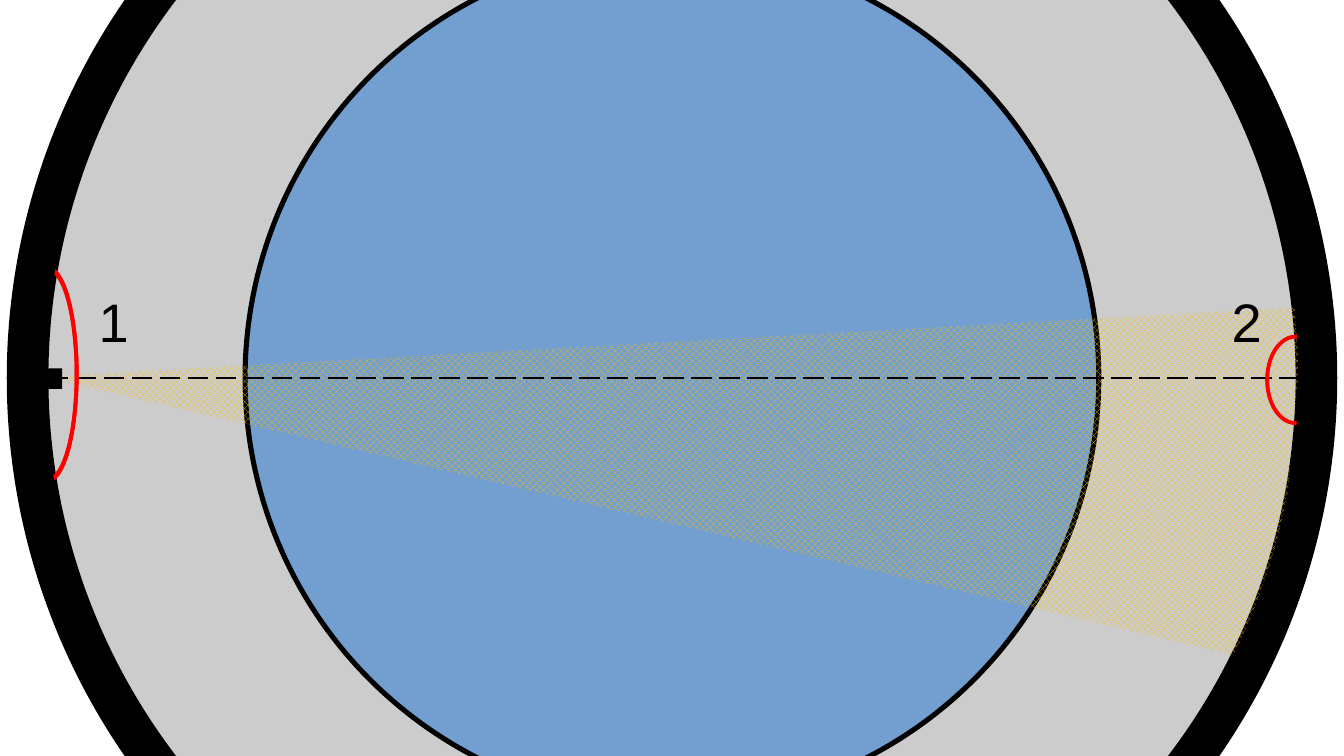
from pptx import Presentation
from pptx.dml.color import RGBColor
from pptx.enum.dml import MSO_LINE, MSO_PATTERN
from pptx.enum.shapes import MSO_CONNECTOR, MSO_SHAPE
from pptx.enum.text import MSO_AUTO_SIZE
from pptx.oxml.ns import qn
from pptx.util import Pt
from lxml import etree

ELLIPSE = MSO_SHAPE.OVAL
TRIANGLE = MSO_SHAPE.ISOSCELES_TRIANGLE
RECTANGLE = MSO_SHAPE.RECTANGLE
STRAIGHT = MSO_CONNECTOR.STRAIGHT
HATCH = MSO_PATTERN.OUTLINED_DIAMOND
LONG_DASH = MSO_LINE.LONG_DASH
FIT_TEXT = MSO_AUTO_SIZE.SHAPE_TO_FIT_TEXT
BLANK_LAYOUT = 6

COLORS = {"black": "000000", "white": "FFFFFF", "gray": "CCCCCC",
          "blue": "729FCF", "amber": "FFBF00", "red": "FF0000"}
SLIDE_SIZE = (793.44, 446.4)
CENTER = (396.72, 223.2)

# center, size, fill, line color, line width
DISCS = [
    (CENTER, (742.3, 742.3), "gray", "black", 6),
    (CENTER, (504, 504), "blue", "black", 3),
]
BEAM = ((393.1, 254.5), (211.7, 738))
BEAM_ROTATION = 275
AXIS = (28.1, 765.4)
ARCS_AND_RING = [
    ((28.4, 220.7), (33.8, 124.6), None, "red", 2.3),
    ((765, 224.3), (33.8, 51.1), None, "red", 2.3),
    ((28.4, 221.4), (33.8, 124.6), None, "red", 2.3),
    (CENTER, (762.5, 762.5), None, "black", 23),
]
SOURCE = ((22.7, 223.6), (28.1, 12.2))
LABELS = [("1", 51.1), ("2", 720)]
LABEL_TOP = 167
LABEL_SIZE = (22.3, 43.2)


def color(name):
    return RGBColor.from_string(COLORS[name])


def add_centered(slide, kind, center, size, fill=None, line=None, width=0):
    """Add a preset shape around its center point."""
    left, top = (middle - length / 2 for middle, length in zip(center, size))
    shape = slide.shapes.add_shape(kind, Pt(left), Pt(top), Pt(size[0]), Pt(size[1]))
    shape.shadow.inherit = False
    if fill:
        shape.fill.solid()
        shape.fill.fore_color.rgb = color(fill)
    else:
        shape.fill.background()
    if line:
        shape.line.color.rgb = color(line)
        shape.line.width = Pt(width)
    else:
        shape.line.fill.background()
    return shape


def add_beam(slide):
    beam = add_centered(slide, TRIANGLE, *BEAM)
    beam.rotation = BEAM_ROTATION
    beam.fill.patterned()
    beam.fill.pattern = HATCH
    beam.fill.fore_color.rgb = color("amber")
    beam.fill.back_color.rgb = color("white")
    # Only the hatch lines show; the gaps are clear
    background = beam.element.spPr.find(".//" + qn("a:bgClr"))[0]
    etree.SubElement(background, qn("a:alpha"), val="0")


def add_axis(slide):
    start, end = AXIS
    y = Pt(CENTER[1])
    axis = slide.shapes.add_connector(STRAIGHT, Pt(start), y, Pt(end), y)
    axis.line.color.rgb = color("black")
    axis.line.width = Pt(1.5)
    axis.line.dash_style = LONG_DASH
    etree.SubElement(axis.element.spPr, qn("a:effectLst"))


def add_label(slide, text, left):
    width, height = LABEL_SIZE
    box = slide.shapes.add_textbox(Pt(left), Pt(LABEL_TOP), Pt(width), Pt(height))
    frame = box.text_frame
    frame.word_wrap = True
    frame.auto_size = FIT_TEXT
    para = frame.paragraphs[0]
    para.text = text
    para.font.name = "Arial"
    para.font.size = Pt(32)
    para.font.color.rgb = color("black")


def main():
    deck = Presentation()
    deck.slide_width, deck.slide_height = (Pt(length) for length in SLIDE_SIZE)
    slide = deck.slides.add_slide(deck.slide_layouts[BLANK_LAYOUT])
    for disc in DISCS:
        add_centered(slide, ELLIPSE, *disc)
    add_beam(slide)
    add_axis(slide)
    for outline in ARCS_AND_RING:
        add_centered(slide, ELLIPSE, *outline)
    add_centered(slide, RECTANGLE, *SOURCE, fill="black")
    for text, left in LABELS:
        add_label(slide, text, left)
    deck.save("out.pptx")


if __name__ == "__main__":
    main()
